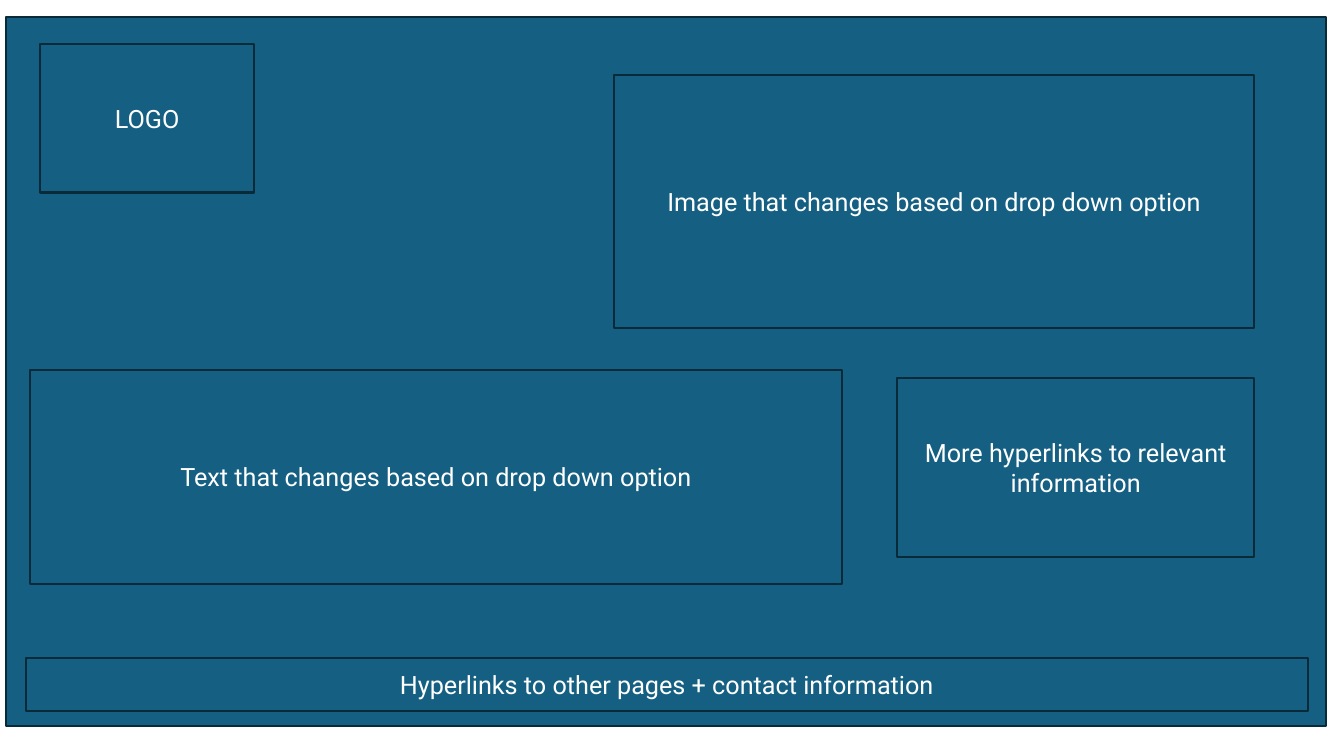
"""Build a web page wireframe slide with labelled content regions."""
from dataclasses import dataclass

from pptx import Presentation
from pptx.dml.color import RGBColor
from pptx.enum.shapes import MSO_SHAPE
from pptx.enum.text import MSO_ANCHOR, PP_ALIGN
from pptx.shapes.autoshape import Shape
from pptx.slide import Slide
from pptx.util import Emu, Pt

BLANK_LAYOUT = 6


@dataclass(frozen=True)
class Theme:
    fill: RGBColor = RGBColor.from_string("156082")
    outline: RGBColor = RGBColor.from_string("092A39")
    text: RGBColor = RGBColor.from_string("FFFFFF")
    font: str = "Roboto"
    label_size: int = 18
    outline_width: float = 1.5


@dataclass(frozen=True)
class Region:
    left: int
    top: int
    width: int
    height: int
    label: str = ""


THEME = Theme()

PAGE_REGIONS = (
    Region(6, 17, 1309, 703),
    Region(40, 44, 212, 147, "LOGO"),
    Region(30, 367, 805, 212, "Text that changes based on drop down option"),
    Region(609, 74, 635, 251, "Image that changes based on drop down option"),
    Region(26, 653, 1271, 52, "Hyperlinks to other pages + contact information"),
    Region(890, 375, 354, 178, "More hyperlinks to relevant information"),
)


def px(length: int) -> Emu:
    return Emu(length * 9144)


def write_text(
    shape: Shape,
    text: str,
    *,
    size: int = THEME.label_size,
    color: RGBColor = THEME.text,
    font: str = THEME.font,
    align: PP_ALIGN = PP_ALIGN.CENTER,
    anchor: MSO_ANCHOR = MSO_ANCHOR.MIDDLE,
) -> None:
    frame = shape.text_frame
    frame.word_wrap = True
    frame.vertical_anchor = anchor
    paragraph = frame.paragraphs[0]
    paragraph.alignment = align
    run = paragraph.add_run()
    run.text = text
    run.font.name = font
    run.font.size = Pt(size)
    run.font.color.rgb = color


def draw_region(slide: Slide, region: Region) -> None:
    panel = slide.shapes.add_shape(
        MSO_SHAPE.RECTANGLE,
        px(region.left),
        px(region.top),
        px(region.width),
        px(region.height),
    )
    panel.shadow.inherit = False
    panel.fill.solid()
    panel.fill.fore_color.rgb = THEME.fill
    panel.line.color.rgb = THEME.outline
    panel.line.width = Pt(THEME.outline_width)
    if region.label:
        write_text(panel, region.label)


def main() -> None:
    deck = Presentation()
    deck.slide_width, deck.slide_height = px(1333), px(750)
    wireframe = deck.slides.add_slide(deck.slide_layouts[BLANK_LAYOUT])
    for region in PAGE_REGIONS:
        draw_region(wireframe, region)
    deck.save("out.pptx")


if __name__ == "__main__":
    main()
